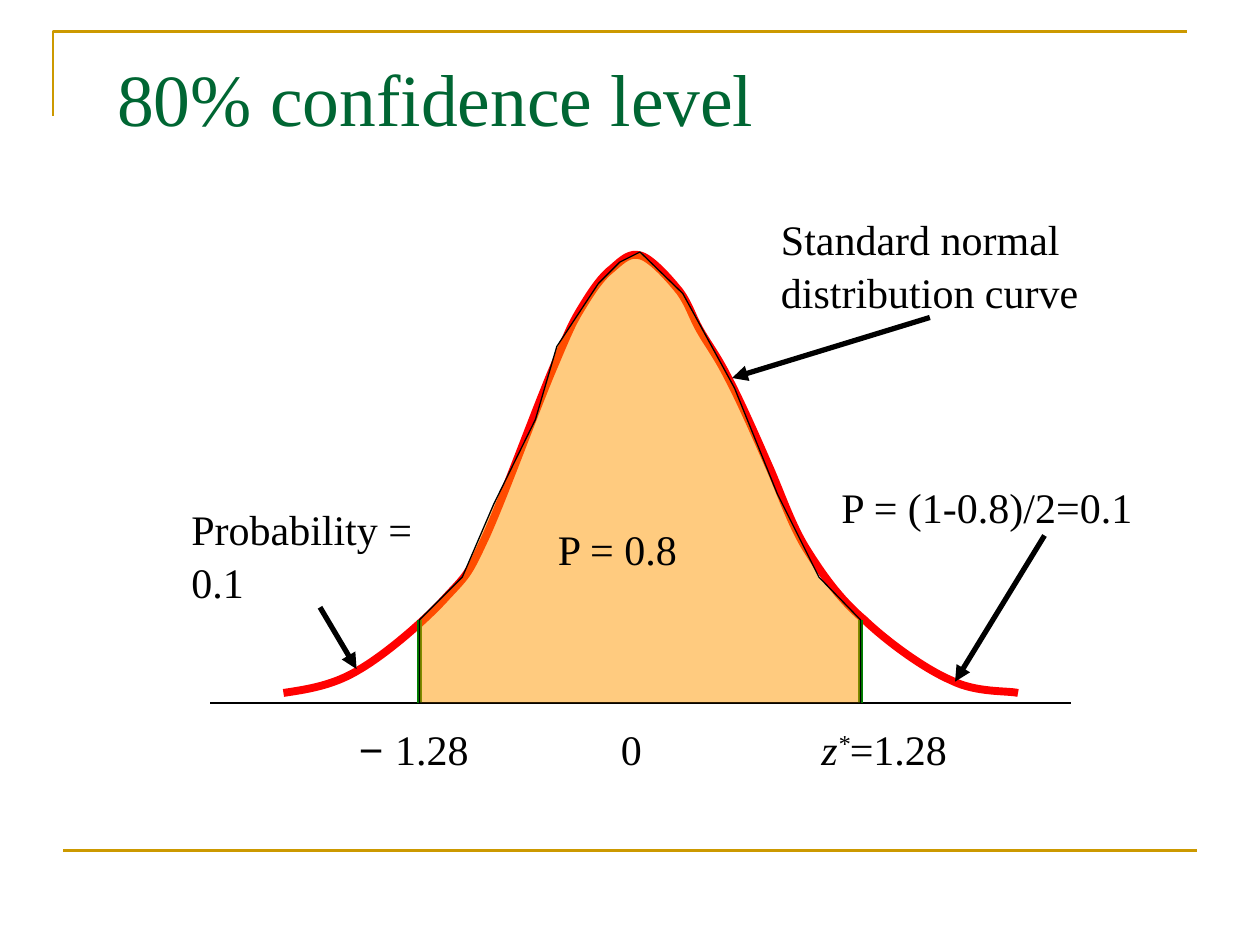
from lxml.etree import SubElement
from pptx import Presentation
from pptx.dml.color import RGBColor
from pptx.enum.shapes import MSO_CONNECTOR
from pptx.enum.text import MSO_ANCHOR, PP_ALIGN
from pptx.oxml.ns import qn
from pptx.util import Inches, Pt

GOLD = RGBColor(0xCC, 0x99, 0x00)
DARK_GREEN = RGBColor(0x00, 0x66, 0x33)
GREEN = RGBColor(0x00, 0x80, 0x00)
RED = RGBColor(0xFF, 0x00, 0x00)
ORANGE = RGBColor(0xFF, 0x99, 0x00)
BLACK = RGBColor(0x00, 0x00, 0x00)
FONT = "Times New Roman"
LINE_SPACING = 1.06

AXIS_Y = 5.58
LEFT_Z, RIGHT_Z, CUT_Y = 3.33, 6.83, 4.92

# Start point, then two control points and an end point per curve segment
BELL = [
    (2.25, 5.5),
    (2.45, 5.47), (2.65, 5.44), (2.86, 5.31),
    (3.08, 5.18), (3.39, 4.91), (3.55, 4.73),
    (3.72, 4.55), (3.72, 4.55), (3.86, 4.25),
    (4, 3.94), (4.27, 3.2), (4.4, 2.9),
    (4.53, 2.59), (4.55, 2.55), (4.63, 2.42),
    (4.71, 2.29), (4.78, 2.19), (4.86, 2.13),
    (4.94, 2.06), (5, 2), (5.09, 2.03),
    (5.18, 2.06), (5.32, 2.22), (5.4, 2.32),
    (5.47, 2.42), (5.49, 2.5), (5.55, 2.61),
    (5.61, 2.72), (5.69, 2.82), (5.78, 3),
    (5.87, 3.17), (5.99, 3.44), (6.09, 3.67),
    (6.19, 3.89), (6.27, 4.14), (6.39, 4.34),
    (6.52, 4.55), (6.66, 4.75), (6.86, 4.92),
    (7.05, 5.1), (7.34, 5.31), (7.55, 5.4),
    (7.75, 5.5), (7.99, 5.48), (8.08, 5.5),
]
AREA = [
    (LEFT_Z, AXIS_Y), (LEFT_Z, CUT_Y), (3.67, 4.58), (3.92, 4), (4.25, 3.33),
    (4.42, 2.75), (4.75, 2.25), (4.92, 2.08), (5.08, 2), (5.42, 2.33),
    (5.83, 3.08), (6.17, 3.92), (6.5, 4.58), (RIGHT_Z, CUT_Y), (RIGHT_Z, AXIS_Y),
]


def format_font(font, size=24, color=BLACK):
    font.size = Pt(size)
    font.color.rgb = color
    font.name = FONT


def add_line(page, start, end, color, width, arrow=False):
    points = [Inches(value) for value in (*start, *end)]
    line = page.shapes.add_connector(MSO_CONNECTOR.STRAIGHT, *points)
    line.line.color.rgb = color
    line.line.width = Pt(width)
    properties = line._element.spPr
    if arrow:
        SubElement(properties.find(qn("a:ln")), qn("a:tailEnd"), type="triangle")
    SubElement(properties, qn("a:effectLst"))


def add_outline(page, points, color, width, close=False):
    start, *others = [(Inches(x), Inches(y)) for x, y in points]
    builder = page.shapes.build_freeform(*start)
    builder.add_line_segments(others, close=close)
    shape = builder.convert_to_shape()
    shape.shadow.inherit = False
    shape.fill.background()
    shape.line.color.rgb = color
    shape.line.width = Pt(width)
    return shape


def fill_half_transparent(shape, color):
    shape.fill.solid()
    shape.fill.fore_color.rgb = color
    tone = shape._element.spPr.find(qn("a:solidFill"))[0]
    SubElement(tone, qn("a:alpha"), val="50000")


def bend_segments(shape):
    """Turn each three straight segments into one cubic curve."""
    outline = next(shape._element.iter(qn("a:path")))
    segments = outline.findall(qn("a:lnTo"))
    for first in range(0, len(segments), 3):
        curve = SubElement(outline, qn("a:cubicBezTo"))
        for segment in segments[first:first + 3]:
            curve.append(segment[0])
            outline.remove(segment)


def add_label(page, left, top, width, height, text, wrap=True):
    box = page.shapes.add_textbox(*map(Inches, (left, top, width, height)))
    box.text_frame.word_wrap = wrap
    box.text_frame.text = text
    for paragraph in box.text_frame.paragraphs:
        paragraph.line_spacing = LINE_SPACING
        for span in paragraph.runs:
            format_font(span.font)
    return box.text_frame.paragraphs[0]


def add_span(paragraph, text):
    span = paragraph.add_run()
    span.text = text
    format_font(span.font)
    return span


def add_title(page, text):
    title = page.shapes.title
    title.left, title.top, title.width, title.height = map(
        Inches, (0.83, 0.33, 8.5, 1.25))
    frame = title.text_frame
    frame.text = text
    frame.vertical_anchor = MSO_ANCHOR.TOP
    paragraph = frame.paragraphs[0]
    paragraph.alignment = PP_ALIGN.LEFT
    paragraph.line_spacing = LINE_SPACING
    format_font(paragraph.runs[0].font, 42, DARK_GREEN)


def main():
    deck = Presentation()
    deck.slide_width, deck.slide_height = Inches(10), Inches(7.5)
    page = deck.slides.add_slide(deck.slide_layouts[5])

    # Frame and title
    add_outline(page, [(0.42, 0.92), (0.42, 0.25), (9.42, 0.25)], GOLD, 1.5)
    add_line(page, (0.5, 6.75), (9.5, 6.75), GOLD, 1.5)
    add_title(page, "80% confidence level")

    # Bell curve, axis and limits
    bend_segments(add_outline(page, BELL, RED, 4.5))
    add_line(page, (1.67, AXIS_Y), (8.5, AXIS_Y), BLACK, 0.75)
    for limit in (LEFT_Z, RIGHT_Z):
        add_line(page, (limit, CUT_Y), (limit, AXIS_Y), GREEN, 3)

    # Shaded area
    area = add_outline(page, AREA, BLACK, 0.75, close=True)
    fill_half_transparent(area, ORANGE)

    # Labels
    add_label(page, 6.1, 1.62, 2.56, 0.9,
              "Standard normal\ndistribution curve", wrap=False)
    add_label(page, 4.33, 4.08, 1.67, 0.5, "P = 0.8")
    add_label(page, 6.58, 3.75, 3.42, 0.5, "P = (1-0.8)/2=0.1")
    add_label(page, 1.42, 3.92, 2.25, 0.9, "Probability = 0.1")

    # Axis values
    add_label(page, 4.83, 5.67, 0.5, 0.5, "0")
    lower = add_label(page, 2.75, 5.67, 1.17, 0.5, "− ")
    lower.runs[0].font.name = "Arial"
    add_span(lower, "1.28")
    upper = add_label(page, 6.42, 5.67, 1.33, 0.5, "z")
    star = add_span(upper, "*")
    star.font._element.set("baseline", "30000")
    add_span(upper, "=1.28")
    for span in upper.runs[:2]:
        span.font.italic = True

    # Arrows from the labels to the curve
    for start, end in (((7.38, 2.52), (5.81, 3)),
                       ((2.54, 4.82), (2.83, 5.31)),
                       ((8.29, 4.25), (7.58, 5.41))):
        add_line(page, start, end, BLACK, 3, arrow=True)

    deck.save("out.pptx")


if __name__ == "__main__":
    main()
